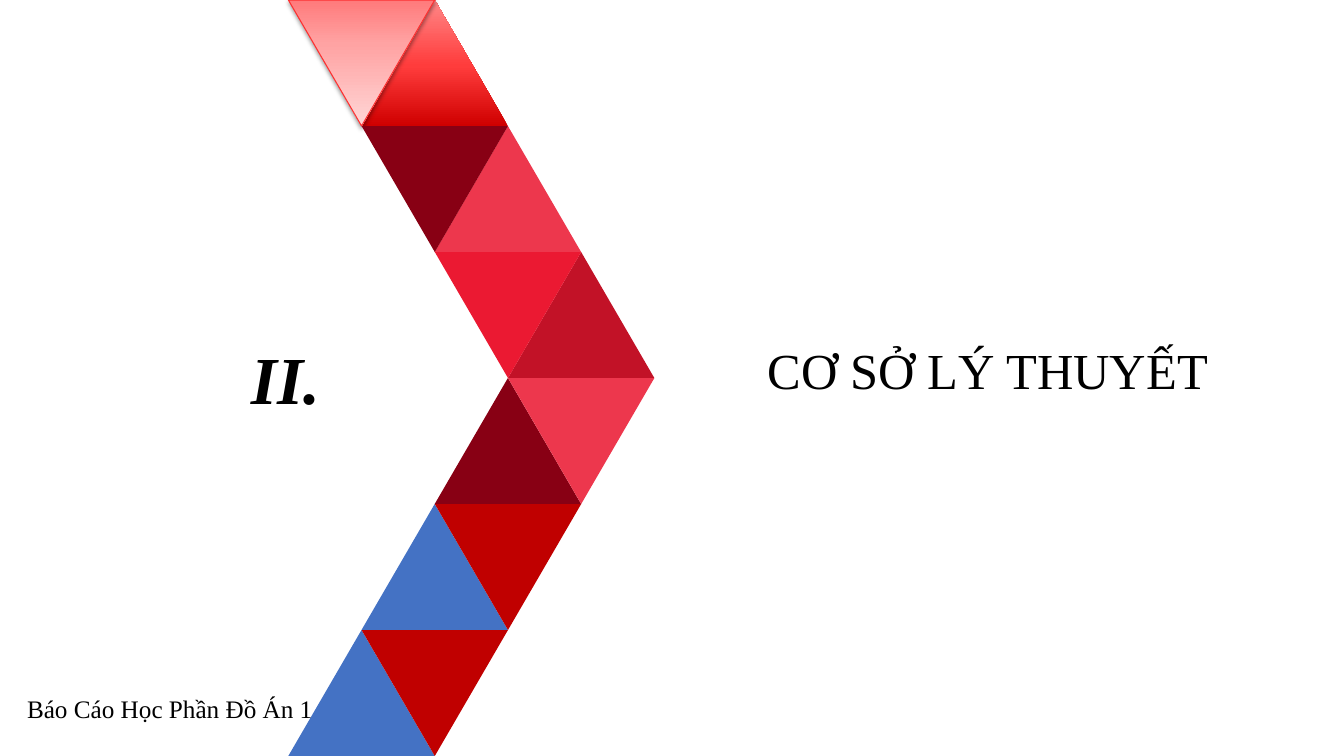
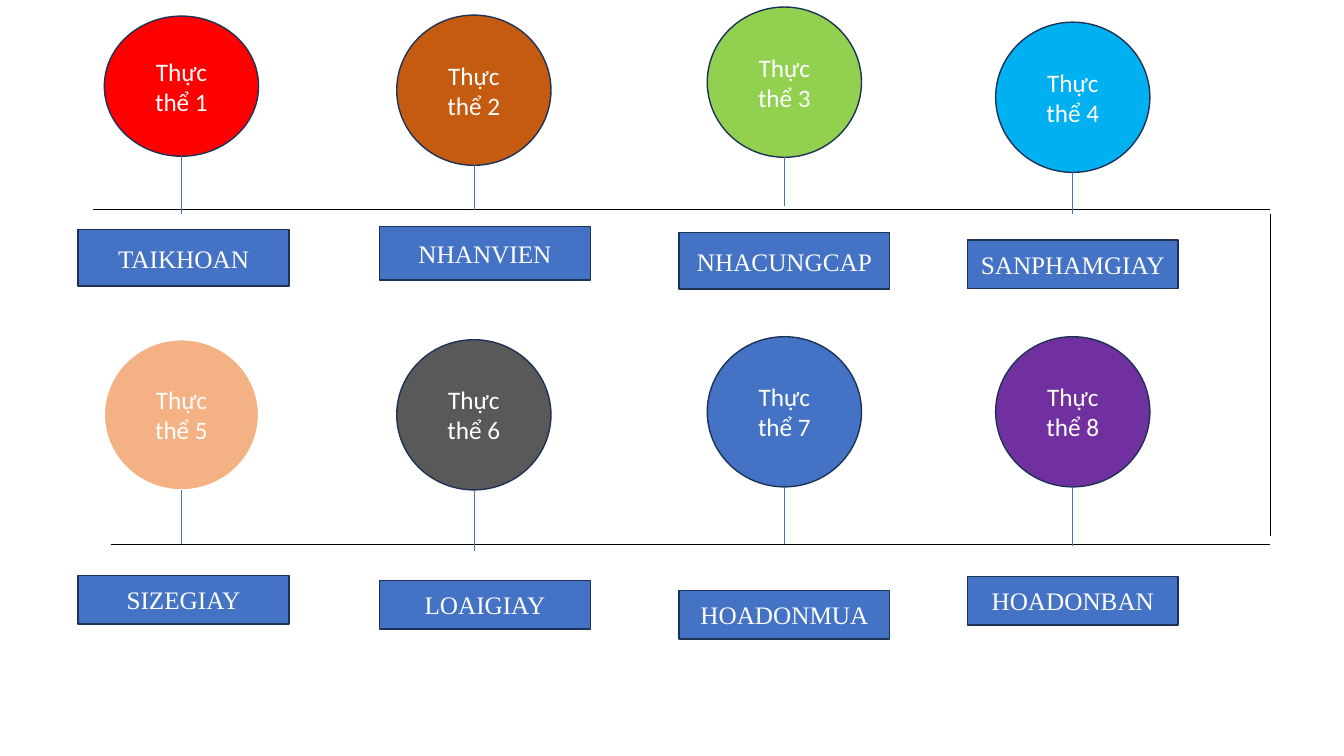
from collections import namedtuple

from lxml.etree import SubElement
from pptx import Presentation
from pptx.dml.color import RGBColor
from pptx.enum.shapes import MSO_CONNECTOR, MSO_SHAPE
from pptx.enum.text import MSO_ANCHOR, MSO_AUTO_SIZE, PP_ALIGN
from pptx.oxml.ns import qn
from pptx.util import Inches, Pt

SLIDE_WIDTH, SLIDE_HEIGHT = 13.33, 7.5
SERIF, SANS = "Times New Roman", "Calibri"
COLORS = {
    "black": "000000", "white": "FFFFFF", "navy": "1E3256", "blue": "4472C4",
    "maroon": "880014", "coral": "ED374D", "scarlet": "EB1932",
    "crimson": "C21227", "dark red": "C00000", "bright line": "FD3030",
    "red": "FF0000", "brown": "C55A11", "green": "92D050", "sky": "00B0F0",
    "peach": "F4B183", "gray": "595959", "purple": "7030A0",
}
RED_GRADIENT = ((0, "CF0000"), (48, "FF3C3C"), (100, "FF8787"))
PINK_GRADIENT = ((0, "FF7A7B"), (35, "FFA3A3"), (100, "FFD6D6"))

Box = namedtuple("Box", "left top width height")
Entity = namedtuple("Entity", "name color circle_top circle_height stem_end label_top label_height")

UP_COLORS = (RED_GRADIENT, "coral", "crimson", "maroon", "blue", "blue")
DOWN_COLORS = (PINK_GRADIENT, "maroon", "scarlet", "coral", "dark red", "dark red")
UP_STEPS = (1, 2, 3, 2, 1, 0)
DOWN_STEPS = (0, 1, 2, 3, 2, 1)

CIRCLE_CENTERS = (1.8, 4.7, 7.78, 10.64)
LABEL_CENTERS = (1.82, 4.81, 7.78, 10.64)
CIRCLE_WIDTH, LABEL_WIDTH = 1.53, 2.09
RAIL_RIGHT = 12.6
RAILS = (
    (0.92, 2.08, (
        Entity("TAIKHOAN", "red", -1.92, 1.39, 0.04, 0.2, 0.56),
        Entity("NHANVIEN", "brown", -1.93, 1.49, 0, 0.17, 0.53),
        Entity("NHACUNGCAP", "green", -2.01, 1.49, -0.04, 0.23, 0.56),
        Entity("SANPHAMGIAY", "sky", -1.86, 1.49, 0.04, 0.3, 0.48),
    )),
    (1.1, 5.4, (
        Entity("SIZEGIAY", "peach", -2.03, 1.49, 0, 0.31, 0.48),
        Entity("LOAIGIAY", "gray", -2.03, 1.49, 0.07, 0.36, 0.48),
        Entity("HOADONMUA", "blue", -2.06, 1.49, 0, 0.46, 0.48),
        Entity("HOADONBAN", "purple", -2.06, 1.49, 0.02, 0.32, 0.48),
    )),
)


def rgb(name):
    """Return the palette colour with this name."""
    return RGBColor.from_string(COLORS[name])


def emu(box):
    """Convert a box in inches to slide units."""
    return [Inches(length) for length in box]


def write(shape, text, size, font, color, align=PP_ALIGN.LEFT, bold=False, italic=False):
    """Put one formatted paragraph in a shape."""
    shape.text_frame.word_wrap = True
    paragraph = shape.text_frame.paragraphs[0]
    paragraph.text = text
    paragraph.alignment = align
    paragraph.font.size = Pt(size)
    paragraph.font.name = font
    paragraph.font.color.rgb = rgb(color)
    paragraph.font.bold = bold
    paragraph.font.italic = italic


def add_shape(slide, kind, box, fill, line=None, line_width=1):
    """Add a flat shape with a solid or gradient fill."""
    shape = slide.shapes.add_shape(kind, *emu(box))
    shape.shadow.inherit = False
    if isinstance(fill, str):
        shape.fill.solid()
        shape.fill.fore_color.rgb = rgb(fill)
    else:
        set_gradient(shape, fill)
    if line:
        shape.line.color.rgb = rgb(line)
        shape.line.width = Pt(line_width)
    else:
        shape.line.fill.background()
    return shape


def set_gradient(shape, stops):
    """Fill a shape with a gradient running from its base upwards."""
    shape.fill.gradient()
    shape.fill.gradient_angle = 90
    stop_list = shape._element.spPr.find(qn("a:gradFill")).find(qn("a:gsLst"))
    for stop in list(stop_list):
        stop_list.remove(stop)
    for position, color in stops:
        stop = SubElement(stop_list, qn("a:gs"), pos=str(position * 1000))
        SubElement(stop, qn("a:srgbClr"), val=color)


def add_soft_shadow(shape):
    """Give a shape a faint shadow below it."""
    effects = shape._element.spPr.find(qn("a:effectLst"))
    shadow = SubElement(effects, qn("a:outerShdw"), blurRad="40000", dist="20000",
                        dir="5400000", rotWithShape="0")
    color = SubElement(shadow, qn("a:srgbClr"), val=COLORS["black"])
    SubElement(color, qn("a:alpha"), val="38000")


def add_line(slide, start, end, color):
    """Draw a thin straight line between two points."""
    line = slide.shapes.add_connector(MSO_CONNECTOR.STRAIGHT, *emu(start + end))
    line.line.color.rgb = rgb(color)
    line.line.width = Pt(0.5)
    SubElement(line._element.spPr, qn("a:effectLst"))


def add_triangle_band(slide, box):
    """Tile an arrow-like band of triangles inside a box."""
    step = box.width / 5
    height = box.height / len(UP_COLORS)
    directions = ((UP_STEPS, UP_COLORS, 0), (DOWN_STEPS, DOWN_COLORS, 180))
    for row in range(len(UP_COLORS)):
        for steps, colors, rotation in directions:
            place = Box(box.left + steps[row] * step, box.top + row * height, 2 * step, height)
            framed = colors[row] is PINK_GRADIENT
            triangle = add_shape(slide, MSO_SHAPE.ISOSCELES_TRIANGLE, place, colors[row],
                                 "bright line" if framed else None, 0.75)
            triangle.rotation = rotation
            if framed:
                add_soft_shadow(triangle)


def add_text_box(slide, box, text, size, **style):
    """Add a serif text box."""
    text_box = slide.shapes.add_textbox(*emu(box))
    write(text_box, text, size, SERIF, "black", **style)


def build_section_slide(presentation, number, title, footer):
    """Build a section opener with the triangle band."""
    slide = presentation.slides.add_slide(presentation.slide_layouts[5])
    add_triangle_band(slide, Box(2.86, 0, 3.63, SLIDE_HEIGHT))
    add_text_box(slide, Box(2.39, 3.3, 2.62, 0.9), number, 48, bold=True, italic=True)
    heading = slide.shapes.title
    heading.left, heading.top, heading.width, heading.height = emu(Box(6.5, 3.31, 6.6, 1.01))
    heading.text_frame.auto_size = MSO_AUTO_SIZE.NONE
    heading.text_frame.vertical_anchor = MSO_ANCHOR.TOP
    write(heading, title, 36, SERIF, "black", PP_ALIGN.CENTER)
    add_text_box(slide, Box(0.17, 6.83, 3.17, 0.34), footer, 18)


def add_entity(slide, number, entity, rail, circle_center, label_center):
    """Hang a numbered circle above a rail and its label below."""
    circle_top = rail + entity.circle_top
    circle_box = Box(circle_center - CIRCLE_WIDTH / 2, circle_top, CIRCLE_WIDTH, entity.circle_height)
    label_box = Box(label_center - LABEL_WIDTH / 2, rail + entity.label_top,
                    LABEL_WIDTH, entity.label_height)
    outline = "white" if entity.color == "peach" else "navy"
    parts = (
        (MSO_SHAPE.OVAL, circle_box, entity.color, outline, f"Thực thể {number}", SANS),
        (MSO_SHAPE.RECTANGLE, label_box, "blue", "navy", entity.name, SERIF),
    )
    for kind, box, fill, line, text, font in parts:
        shape = add_shape(slide, kind, box, fill, line)
        shape.text_frame.vertical_anchor = MSO_ANCHOR.MIDDLE
        write(shape, text, 18, font, "white", PP_ALIGN.CENTER)
    add_line(slide, (circle_center, circle_top + entity.circle_height),
             (circle_center, rail + entity.stem_end), "blue")


def build_entity_slide(presentation):
    """Build the two-rail overview of entities."""
    slide = presentation.slides.add_slide(presentation.slide_layouts[6])
    number = 0
    for rail_left, rail, entities in RAILS:
        add_line(slide, (rail_left, rail), (RAIL_RIGHT, rail), "black")
        for entity, circle_center, label_center in zip(entities, CIRCLE_CENTERS, LABEL_CENTERS):
            number += 1
            add_entity(slide, number, entity, rail, circle_center, label_center)
    add_line(slide, (RAIL_RIGHT, 2.12), (RAIL_RIGHT, 5.32), "black")


def main():
    """Build and save the presentation."""
    presentation = Presentation()
    presentation.slide_width = Inches(SLIDE_WIDTH)
    presentation.slide_height = Inches(SLIDE_HEIGHT)
    build_section_slide(presentation, "II.", "CƠ SỞ LÝ THUYẾT", "Báo Cáo Học Phần Đồ Án 1")
    build_entity_slide(presentation)
    presentation.save("out.pptx")


if __name__ == "__main__":
    main()
